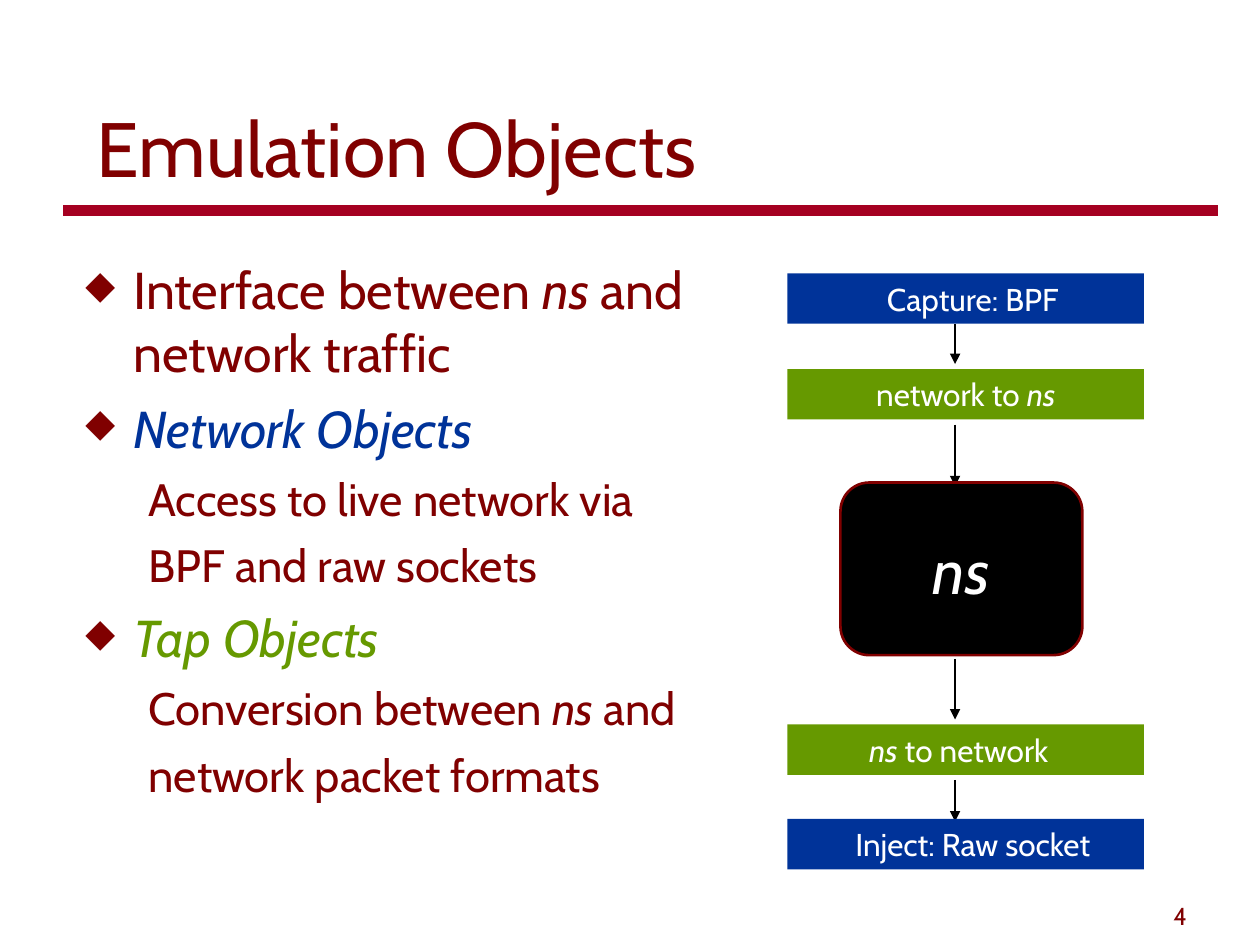
from dataclasses import dataclass

from lxml.etree import SubElement
from pptx import Presentation
from pptx.dml.color import RGBColor
from pptx.enum.shapes import MSO_CONNECTOR as CONNECTOR, MSO_SHAPE as SHAPE
from pptx.enum.text import MSO_ANCHOR as ANCHOR, PP_ALIGN as ALIGN
from pptx.oxml.ns import qn
from pptx.util import Inches, Pt

FONT = "Cabin"
COLORS = {
    "maroon": "800000",
    "rule": "A50021",
    "blue": "003399",
    "green": "669900",
    "black": "000000",
    "white": "FFFFFF",
}


@dataclass
class Level:
    size: float
    space_before: float
    margin: float
    indent: float
    bullet: str = ""


@dataclass
class Item:
    text: str
    level: Level
    color: str = "maroon"


@dataclass
class Stage:
    text: str
    top: float
    color: str
    left_inset: float = 0.1
    right_inset: float = 0.1


@dataclass
class Arrow:
    start: float
    end: float


TOPIC = Level(29.6, 8, 0.38, -0.38, "◆")
DETAIL = Level(25.9, 7, 0.81, -0.31)

ITEMS = [
    Item("Interface between *ns* and network traffic", TOPIC),
    Item("*Network Objects*", TOPIC, "blue"),
    Item("Access to live network via", DETAIL),
    Item("BPF and raw sockets", DETAIL),
    Item("*Tap Objects*", TOPIC, "green"),
    Item("Conversion between *ns* and", DETAIL),
    Item("network packet formats", DETAIL),
]
STAGES = [
    Stage("Capture: BPF", 2.17, "blue", left_inset=0.21),
    Stage("network to *ns*", 2.93, "green"),
    Stage("*ns* to network", 5.75, "green", right_inset=0.21),
    Stage("Inject: Raw socket", 6.5, "blue", left_inset=0.21),
]
ARROWS = [Arrow(2.57, 2.89), Arrow(3.37, 3.86), Arrow(5.23, 5.71), Arrow(6.19, 6.52)]


def rgb(name: str) -> RGBColor:
    return RGBColor.from_string(COLORS[name])


def write(para, text: str, size: float, color: str, align=ALIGN.LEFT) -> None:
    para.alignment = align
    para.font.name = FONT
    para.font.size = Pt(size)
    para.font.color.rgb = rgb(color)
    for index, part in enumerate(text.split("*")):
        if part:
            span = para.add_run()
            span.text = part
            if index % 2:
                span.font.italic = True


def add_text_box(page, left: float, top: float, width: float, height: float, anchor=ANCHOR.TOP):
    box = page.shapes.add_textbox(Inches(left), Inches(top), Inches(width), Inches(height))
    box.text_frame.word_wrap = True
    box.text_frame.vertical_anchor = anchor
    return box.text_frame


def add_block(page, kind, left: float, top: float, width: float, height: float, color: str):
    block = page.shapes.add_shape(kind, Inches(left), Inches(top), Inches(width), Inches(height))
    block.shadow.inherit = False
    block.fill.solid()
    block.fill.fore_color.rgb = rgb(color)
    block.line.fill.background()
    return block


def add_line(page, x1: float, y1: float, x2: float, y2: float, color: str, width: float):
    line = page.shapes.add_connector(
        CONNECTOR.STRAIGHT, Inches(x1), Inches(y1), Inches(x2), Inches(y2)
    )
    line.line.color.rgb = rgb(color)
    line.line.width = Pt(width)
    SubElement(line._element.spPr, qn("a:effectLst"))
    return line


def add_arrow(page, arrow: Arrow) -> None:
    line = add_line(page, 7.58, arrow.start, 7.58, arrow.end, "black", 1.5)
    SubElement(line.line._get_or_add_ln(), qn("a:tailEnd"), type="triangle")


def add_item(para, item: Item) -> None:
    level = item.level
    para.space_before = Pt(level.space_before)
    write(para, item.text, level.size, item.color)
    props = para._p.get_or_add_pPr()
    props.set("marL", str(Inches(level.margin)))
    props.set("indent", str(Inches(level.indent)))
    bullet = []
    if level.bullet:
        color = props.makeelement(qn("a:buClr"), {})
        SubElement(color, qn("a:srgbClr"), val=COLORS["maroon"])
        bullet = [
            color,
            props.makeelement(qn("a:buSzPct"), {"val": "75000"}),
            props.makeelement(qn("a:buChar"), {"char": level.bullet}),
        ]
    else:
        bullet = [props.makeelement(qn("a:buNone"), {})]
    for element in bullet:
        props.find(qn("a:defRPr")).addprevious(element)


def add_stage(page, stage: Stage) -> None:
    frame = add_block(page, SHAPE.RECTANGLE, 6.25, stage.top, 2.83, 0.4, stage.color).text_frame
    frame.word_wrap = True
    frame.vertical_anchor = ANCHOR.TOP
    frame.margin_left = Inches(stage.left_inset)
    frame.margin_right = Inches(stage.right_inset)
    write(frame.paragraphs[0], stage.text, 18, "white", ALIGN.CENTER)


deck = Presentation()
deck.slide_width, deck.slide_height = Inches(10), Inches(7.5)
page = deck.slides.add_slide(deck.slide_layouts[6])

add_line(page, 0.5, 1.67, 9.67, 1.67, "rule", 6)
title = add_text_box(page, 0.67, 0.33, 8.5, 1.25, ANCHOR.BOTTOM)
write(title.paragraphs[0], "Emulation Objects", 44, "maroon")

body = add_text_box(page, 0.58, 2, 5.58, 5.08)
for number, item in enumerate(ITEMS):
    add_item(body.add_paragraph() if number else body.paragraphs[0], item)

for arrow in ARROWS:
    add_arrow(page, arrow)
for stage in STAGES:
    add_stage(page, stage)

simulator = add_block(page, SHAPE.ROUNDED_RECTANGLE, 6.67, 3.83, 1.92, 1.37, "black")
simulator.line.color.rgb = rgb("maroon")
simulator.line.width = Pt(1.5)
label = add_text_box(page, 7.21, 4.17, 0.84, 0.7)
write(label.paragraphs[0], "*ns*", 36, "white", ALIGN.CENTER)

page_number = add_text_box(page, 7.44, 6.93, 2.08, 0.5, ANCHOR.BOTTOM)
write(page_number.paragraphs[0], "4", 14, "maroon", ALIGN.RIGHT)

deck.save("out.pptx")
